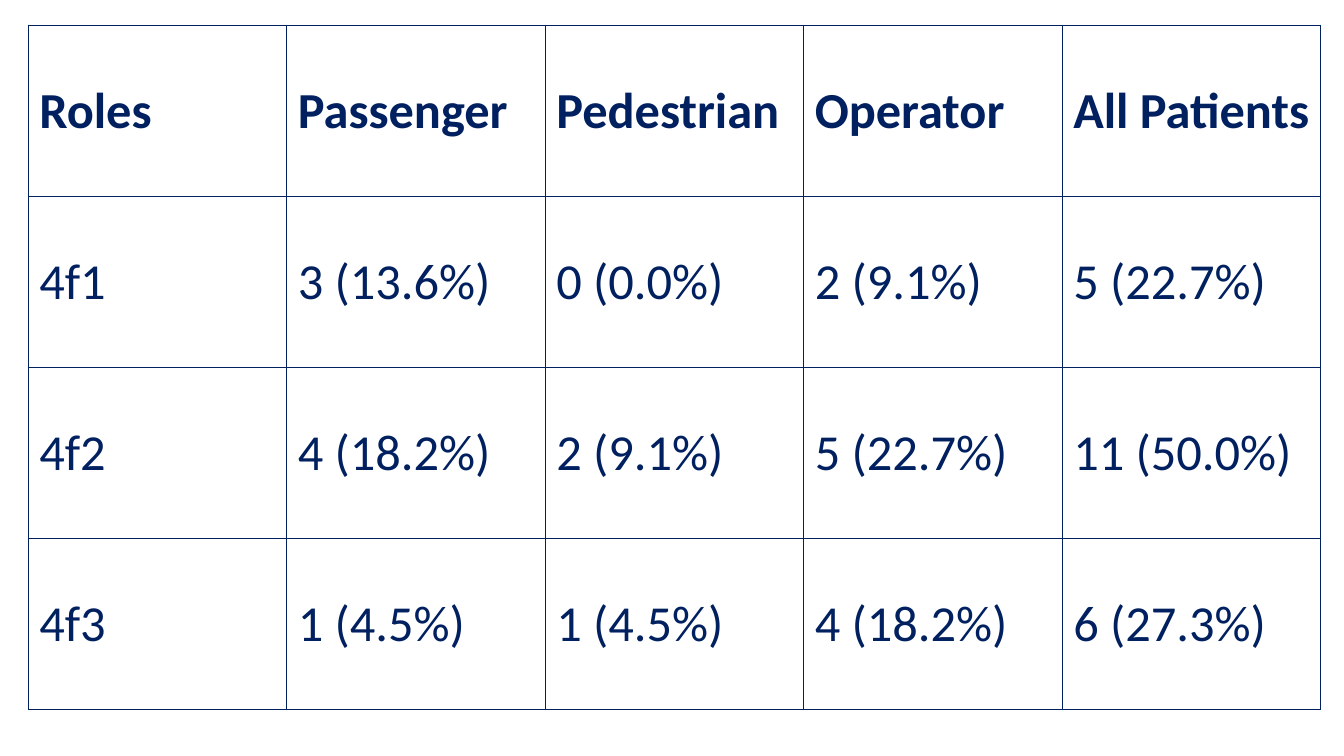
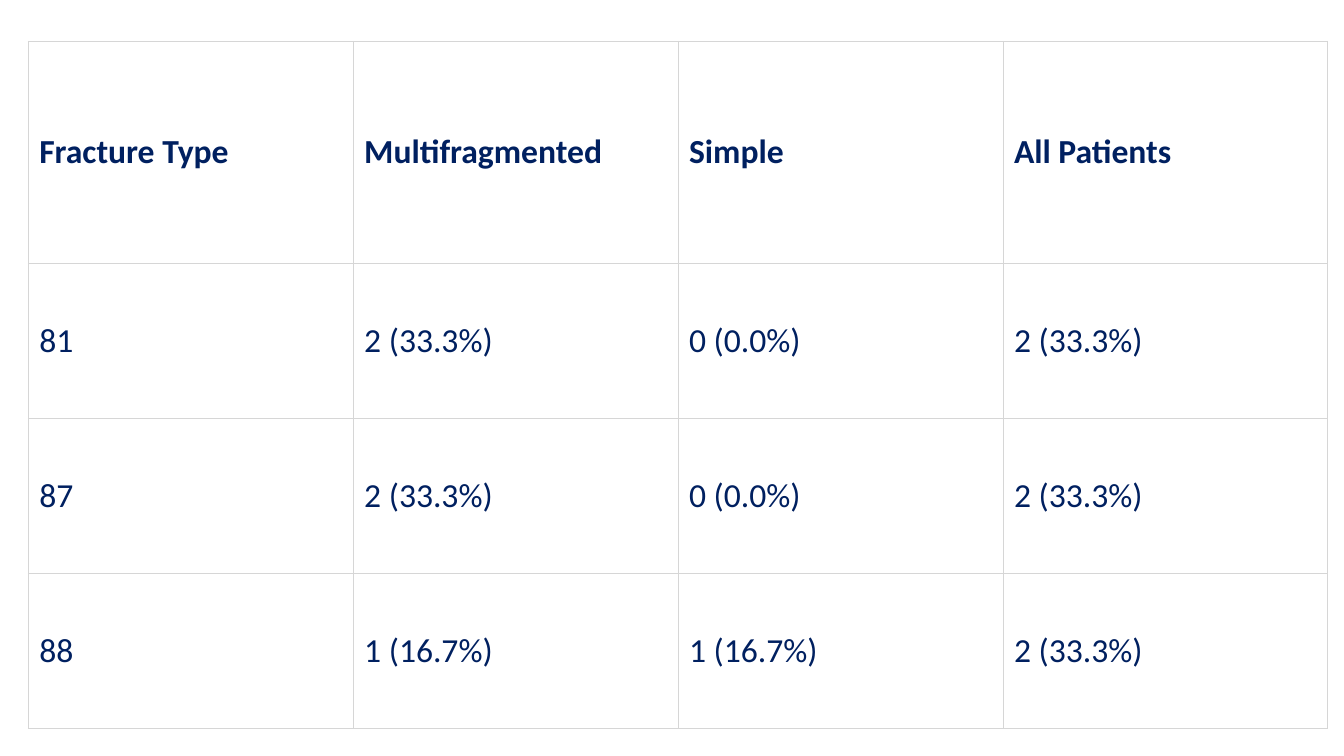
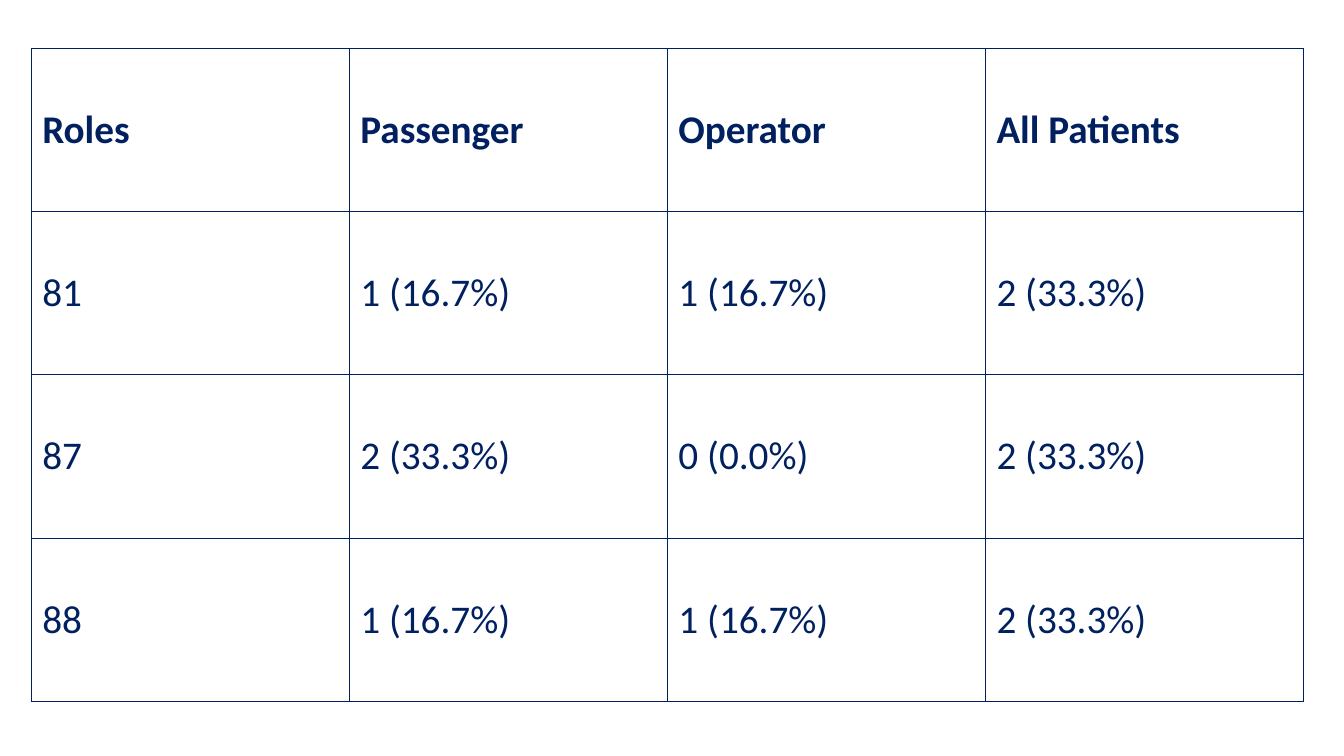
from lxml.etree import SubElement
from pptx import Presentation
from pptx.dml.color import RGBColor
from pptx.enum.text import MSO_ANCHOR
from pptx.oxml.ns import qn
from pptx.util import Inches, Pt

COLORS = {"navy": "002060", "grey": "D6D6D6", "white": "FFFFFF"}
FONT = "Calibri"

ROLES_BY_4F_CLASS = [
    ["Roles", "Passenger", "Pedestrian", "Operator", "All Patients"],
    ["4f1", "3 (13.6%)", "0 (0.0%)", "2 (9.1%)", "5 (22.7%)"],
    ["4f2", "4 (18.2%)", "2 (9.1%)", "5 (22.7%)", "11 (50.0%)"],
    ["4f3", "1 (4.5%)", "1 (4.5%)", "4 (18.2%)", "6 (27.3%)"],
]
FRACTURE_TYPES = [
    ["Fracture Type", "Multifragmented", "Simple", "All Patients"],
    ["81", "2 (33.3%)", "0 (0.0%)", "2 (33.3%)"],
    ["87", "2 (33.3%)", "0 (0.0%)", "2 (33.3%)"],
    ["88", "1 (16.7%)", "1 (16.7%)", "2 (33.3%)"],
]
ROLES_BY_8_CLASS = [
    ["Roles", "Passenger", "Operator", "All Patients"],
    ["81", "1 (16.7%)", "1 (16.7%)", "2 (33.3%)"],
    ["87", "2 (33.3%)", "0 (0.0%)", "2 (33.3%)"],
    ["88", "1 (16.7%)", "1 (16.7%)", "2 (33.3%)"],
]


def color(name):
    return RGBColor.from_string(COLORS[name])


def add_borders(cell, border_color, weight):
    properties = cell._tc.get_or_add_tcPr()
    for side in ("lnL", "lnR", "lnT", "lnB"):
        line = SubElement(properties, qn(f"a:{side}"), w=str(Pt(weight)))
        fill = SubElement(line, qn("a:solidFill"))
        SubElement(fill, qn("a:srgbClr"), val=COLORS[border_color])


def style_cell(cell, text, size, bold, border_color, weight):
    # Borders must precede the fill in the cell properties
    add_borders(cell, border_color, weight)
    cell.fill.solid()
    cell.fill.fore_color.rgb = color("white")
    cell.vertical_anchor = MSO_ANCHOR.MIDDLE
    cell.margin_left = cell.margin_right = Inches(0.11)
    cell.margin_top = cell.margin_bottom = Inches(0.05)
    cell.text = text
    font = cell.text_frame.paragraphs[0].font
    font.name, font.size, font.bold = FONT, Pt(size), bold
    font.color.rgb = color("navy")


def add_table_slide(deck, rows, box, header_height, size,
                    border_color="navy", weight=1):
    page = deck.slides.add_slide(deck.slide_layouts[6])
    left, top, width, height = box
    table = page.shapes.add_table(
        len(rows), len(rows[0]), Inches(left), Inches(top),
        Inches(width), Inches(height)).table
    table.horz_banding = False

    # Equal columns, and equal body rows below the header
    for column in table.columns:
        column.width = Inches(width / len(rows[0]))
    body_height = (height - header_height) / (len(rows) - 1)
    for index, row in enumerate(table.rows):
        row.height = Inches(body_height if index else header_height)

    # Cell contents
    for row_index, texts in enumerate(rows):
        for column_index, text in enumerate(texts):
            style_cell(table.cell(row_index, column_index), text, size,
                       row_index == 0, border_color, weight)


def main():
    deck = Presentation()
    deck.slide_width, deck.slide_height = Inches(13.33), Inches(7.5)
    add_table_slide(deck, ROLES_BY_4F_CLASS, (0.28, 0.25, 12.82, 6.79), 1.7, 36)
    add_table_slide(deck, FRACTURE_TYPES, (0.28, 0.41, 12.89, 6.82), 2.2, 24,
                    border_color="grey", weight=0.6)
    add_table_slide(deck, ROLES_BY_8_CLASS, (0.31, 0.48, 12.62, 6.48), 1.62, 28)
    deck.save("out.pptx")


if __name__ == "__main__":
    main()
